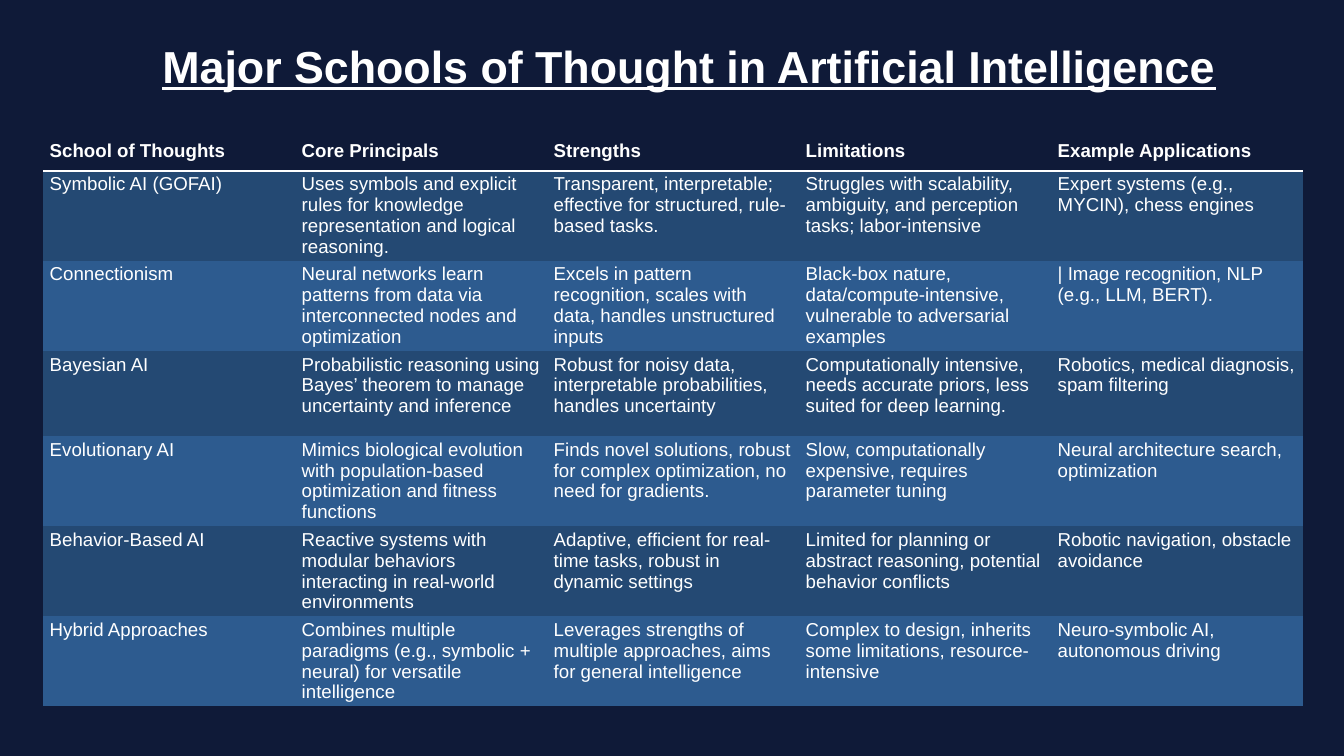
from typing import NamedTuple

from lxml import etree
from pptx import Presentation
from pptx.dml.color import RGBColor
from pptx.enum.text import PP_ALIGN
from pptx.oxml.ns import qn
from pptx.util import Inches, Pt

NAVY = RGBColor(0x0F, 0x1A, 0x38)
DARK_BLUE = RGBColor(0x24, 0x49, 0x73)
MID_BLUE = RGBColor(0x2D, 0x5B, 0x8F)
WHITE = RGBColor(0xFF, 0xFF, 0xFF)
NO_GRID_STYLE = "{2D5ABB26-0587-4C30-8999-92F81FD0307C}"
HEADER_HEIGHT, SCHOOL_HEIGHT, COLUMN_WIDTH = 0.5, 1.27, 3.75


class School(NamedTuple):
    name: str
    principles: str
    strengths: str
    limitations: str
    applications: str


HEADINGS = School("School of Thoughts", "Core Principals", "Strengths",
                  "Limitations", "Example Applications")
SCHOOLS = [
    School("Symbolic AI (GOFAI)",
           "Uses symbols and explicit rules for knowledge representation and logical reasoning.",
           "Transparent, interpretable; effective for structured, rule-based tasks.",
           "Struggles with scalability, ambiguity, and perception tasks; labor-intensive",
           "Expert systems (e.g., MYCIN), chess engines"),
    School("Connectionism",
           "Neural networks learn patterns from data via interconnected nodes and optimization",
           "Excels in pattern recognition, scales with data, handles unstructured inputs",
           "Black-box nature, data/compute-intensive, vulnerable to adversarial examples",
           "| Image recognition, NLP (e.g., LLM, BERT)."),
    School("Bayesian AI",
           "Probabilistic reasoning using Bayes’ theorem to manage uncertainty and inference",
           "Robust for noisy data, interpretable probabilities, handles uncertainty",
           "Computationally intensive, needs accurate priors, less suited for deep learning.",
           "Robotics, medical diagnosis, spam filtering"),
    School("Evolutionary AI",
           "Mimics biological evolution with population-based optimization and fitness functions",
           "Finds novel solutions, robust for complex optimization, no need for gradients.",
           "Slow, computationally expensive, requires parameter tuning",
           "Neural architecture search, optimization"),
    School("Behavior-Based AI",
           "Reactive systems with modular behaviors interacting in real-world environments",
           "Adaptive, efficient for real-time tasks, robust in dynamic settings",
           "Limited for planning or abstract reasoning, potential behavior conflicts",
           "Robotic navigation, obstacle avoidance"),
    School("Hybrid Approaches",
           "Combines multiple paradigms (e.g., symbolic + neural) for versatile intelligence",
           "Leverages strengths of multiple approaches, aims for general intelligence",
           "Complex to design, inherits some limitations, resource-intensive",
           "Neuro-symbolic AI, autonomous driving"),
]


def write(frame, text: str, size: int, bold: bool) -> None:
    frame.text = text
    font = frame.paragraphs[0].runs[0].font
    font.name, font.size, font.bold = "Arial", Pt(size), bold
    font.color.rgb = WHITE


def underline_cell(cell, color: RGBColor, width: float) -> None:
    """Give a cell a bottom border; the border must precede the fill in tcPr."""
    border = etree.Element(qn("a:lnB"), w=str(Pt(width)))
    fill = etree.SubElement(border, qn("a:solidFill"))
    etree.SubElement(fill, qn("a:srgbClr"), val=str(color))
    cell._tc.get_or_add_tcPr().insert(0, border)


def fill_row(table, index: int, school: School, color: RGBColor, header: bool) -> None:
    table.rows[index].height = Inches(HEADER_HEIGHT if header else SCHOOL_HEIGHT)
    for cell, text in zip(table.rows[index].cells, school):
        write(cell.text_frame, text, 20, bold=header)
        cell.fill.solid()
        cell.fill.fore_color.rgb = color
        if header:
            underline_cell(cell, WHITE, 2)


def add_title(slide, text: str) -> None:
    title = slide.shapes.add_textbox(Inches(1.5), Inches(0.53), Inches(17.51), Inches(0.91))
    title.text_frame.word_wrap = True
    write(title.text_frame, text, 48, bold=True)
    paragraph = title.text_frame.paragraphs[0]
    paragraph.alignment = PP_ALIGN.CENTER
    paragraph.runs[0].font.underline = True


def add_schools_table(slide) -> None:
    columns = len(HEADINGS)
    table = slide.shapes.add_table(
        len(SCHOOLS) + 1, columns, Inches(0.64), Inches(2.04),
        Inches(columns * COLUMN_WIDTH),
        Inches(HEADER_HEIGHT + len(SCHOOLS) * SCHOOL_HEIGHT)).table
    table.horz_banding = False
    table._tbl.tblPr.find(qn("a:tableStyleId")).text = NO_GRID_STYLE
    for column in table.columns:
        column.width = Inches(COLUMN_WIDTH)
    fill_row(table, 0, HEADINGS, NAVY, header=True)
    for index, school in enumerate(SCHOOLS, start=1):
        fill_row(table, index, school, DARK_BLUE if index % 2 else MID_BLUE, header=False)


def main() -> None:
    deck = Presentation()
    deck.slide_width, deck.slide_height = Inches(20), Inches(11.25)
    slide = deck.slides.add_slide(deck.slide_layouts[6])
    slide.background.fill.solid()
    slide.background.fill.fore_color.rgb = NAVY
    add_schools_table(slide)
    add_title(slide, "Major Schools of Thought in Artificial Intelligence")
    deck.save("out.pptx")


if __name__ == "__main__":
    main()
